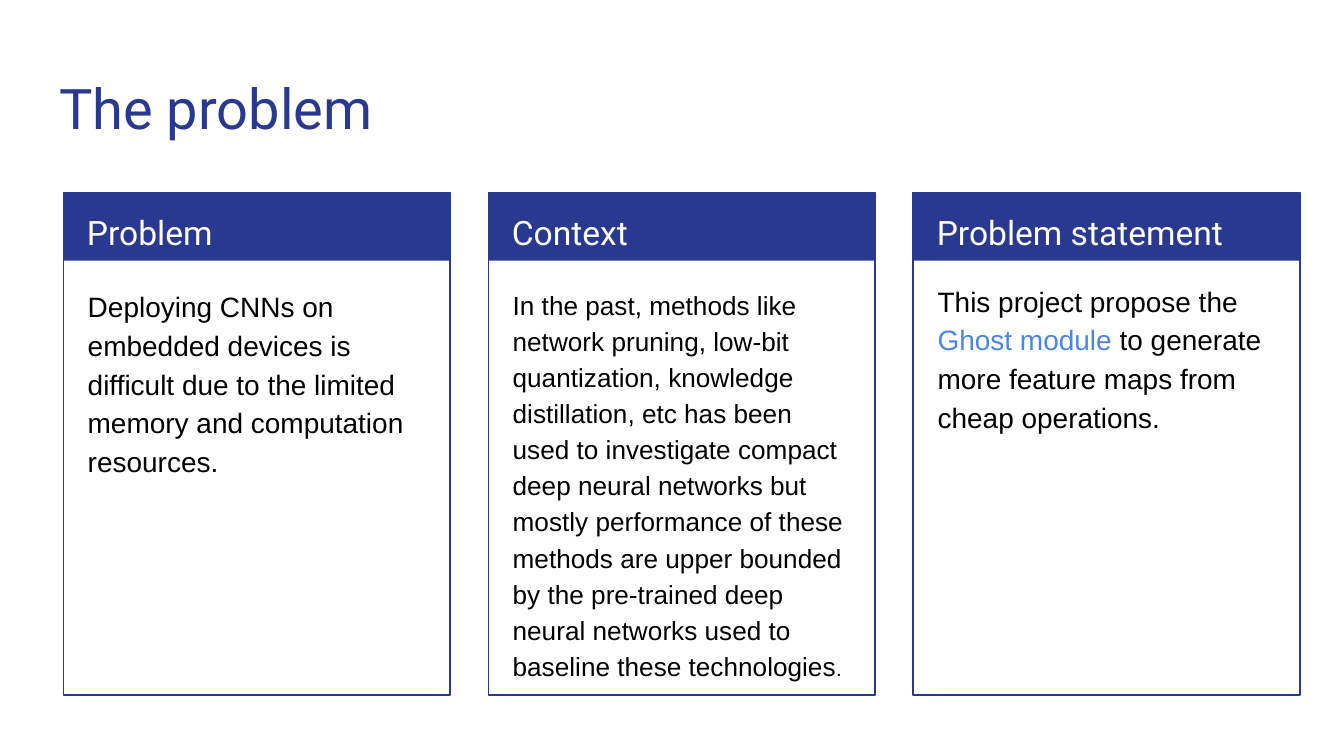
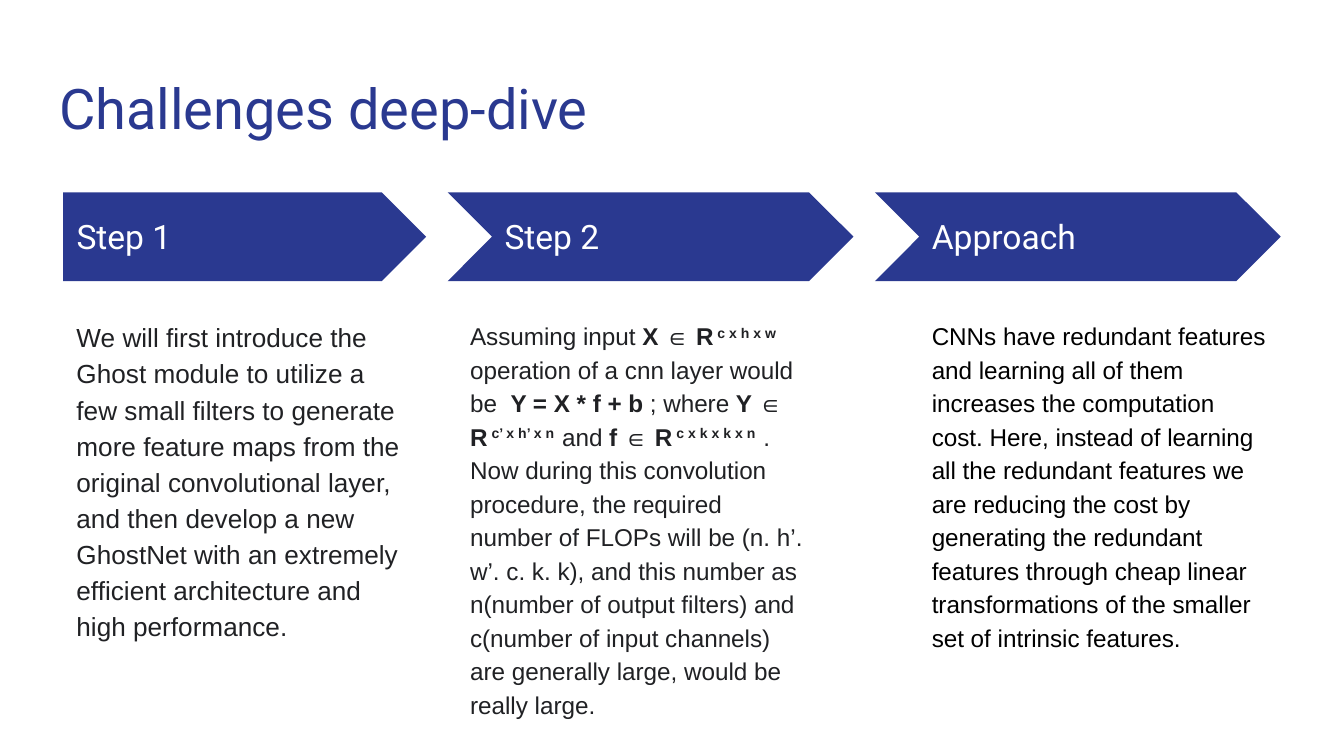
from pptx import Presentation
from pptx.dml.color import RGBColor
from pptx.enum.shapes import MSO_SHAPE
from pptx.enum.text import MSO_ANCHOR, MSO_AUTO_SIZE, PP_ALIGN
from pptx.util import Pt

RECTANGLE = MSO_SHAPE.RECTANGLE
PENTAGON = MSO_SHAPE.PENTAGON
CHEVRON = MSO_SHAPE.CHEVRON
TOP, MIDDLE = MSO_ANCHOR.TOP, MSO_ANCHOR.MIDDLE
LEFT = PP_ALIGN.LEFT
NO_AUTOFIT = MSO_AUTO_SIZE.NONE

NAVY, WHITE, BLACK = "2A3990", "FFFFFF", "000000"
CHARCOAL, SKY = "202124", "4A86E8"
HEADING_FONT, BODY_FONT = "Roboto", "Arial"
INSET = 7.2
MARGIN, BAND_TOP = 33.9, 103
CARD_WIDTH, CARD_HEIGHT, CARD_PITCH, HEADER_HEIGHT = 207.3, 269.3, 227.65, 36.7
ARROW_HEIGHT, ARROW_GAP = 47.6, 11.5
PENTAGON_WIDTH, CHEVRON_WIDTH = 194.4, 217.4

CARDS = [
    ("Problem", 145.5, 15, [
        ("Deploying CNNs on embedded devices is difficult due to the limited "
         "memory and computation resources.", {})]),
    ("Context", 145.5, 14, [
        ("In the past, methods like network pruning, low-bit quantization, "
         "knowledge distillation, etc has been used to investigate compact deep "
         "neural networks but mostly performance of these methods are upper "
         "bounded by the pre-trained deep neural networks used to baseline these "
         "technologies", {}),
        (".", {"size": Pt(11)})]),
    ("Problem statement", 142.4, 15, [
        ("This project propose the ", {}),
        ("Ghost module", {"color": SKY}),
        (" to generate more feature maps from cheap operations.", {})]),
]

BOLD = {"bold": True}
EXPONENT = {"bold": True, "baseline": 30000}
STEPS = [
    ("Step 1", PENTAGON, PENTAGON_WIDTH, 0, 0, 14, CHARCOAL, [
        ("We will first introduce the Ghost module to utilize a few small filters "
         "to generate more feature maps from the original convolutional layer, and "
         "then develop a new GhostNet with an extremely efficient architecture and "
         "high performance.", {})]),
    ("Step 2", CHEVRON, CHEVRON_WIDTH, 23.4, 5, 13, CHARCOAL, [
        ("Assuming input ", {}),
        ("X ∈ R", BOLD),
        (" c x h x w", EXPONENT),
        (" operation of a cnn layer would be  ", {}),
        ("Y = X * f + b", BOLD),
        (" ; where ", {}),
        ("Y ∈ R", BOLD),
        (" c’ x h’ x n  ", EXPONENT),
        ("and ", {}),
        ("f ∈ R", BOLD),
        (" c x k x k x n  ", EXPONENT),
        (". Now during this convolution procedure, the required number of FLOPs "
         "will be (n. h’. w’. c. k. k), and this number as n(number of output "
         "filters) and c(number of input channels) are generally large, would be "
         "really large.", {})]),
    ("Approach", CHEVRON, CHEVRON_WIDTH, 23.4, 23.4, 13, BLACK, [
        ("CNNs have redundant features and learning all of them increases the "
         "computation cost. Here, instead of learning all the redundant features "
         "we are reducing the cost by generating the redundant features through "
         "cheap linear transformations of the smaller set of intrinsic features.",
         {})]),
]


def rgb(value):
    """Turn a hex string into a colour."""
    return RGBColor.from_string(value)


def format_run(run, formats):
    """Apply a dict of format values to a run."""
    for name, value in formats.items():
        if name == "color":
            run.font.color.rgb = rgb(value)
        elif name == "baseline":
            run.font._element.set("baseline", str(value))
        else:
            setattr(run.font, name, value)


def write(frame, runs, base, anchor=TOP, spacing=1.0, space_after=0):
    """Fill a text frame with one paragraph of formatted runs."""
    settings = {"word_wrap": True, "auto_size": NO_AUTOFIT, "vertical_anchor": anchor}
    for side in ("left", "top", "right", "bottom"):
        settings["margin_" + side] = Pt(INSET)
    for name, value in settings.items():
        setattr(frame, name, value)
    paragraph = frame.paragraphs[0]
    paragraph.alignment = LEFT
    paragraph.line_spacing = spacing
    paragraph.space_before = Pt(0)
    paragraph.space_after = Pt(space_after)
    for text, formats in runs:
        run = paragraph.add_run()
        run.text = text
        format_run(run, {**base, **formats})


def style(font, size, color):
    """Bundle the basic format values of a text."""
    return {"name": font, "size": Pt(size), "color": color}


def add_text(slide, box, runs, base, **layout):
    """Place a text box and fill it."""
    text_box = slide.shapes.add_textbox(*map(Pt, box))
    write(text_box.text_frame, runs, base, **layout)


def add_block(slide, kind, box, fill=None, line=None):
    """Place a preset shape with a plain fill or outline."""
    block = slide.shapes.add_shape(kind, *map(Pt, box))
    block.shadow.inherit = False
    if fill:
        block.fill.solid()
        block.fill.fore_color.rgb = rgb(fill)
    else:
        block.fill.background()
    if line:
        block.line.color.rgb = rgb(line)
        block.line.width = Pt(0.75)
    else:
        block.line.fill.background()


def add_titled_slide(deck, heading):
    """Add a title-only slide with the shared title style."""
    slide = deck.slides.add_slide(deck.slide_layouts[5])
    title = slide.shapes.title
    title.left, title.top, title.width, title.height = map(Pt, (24.5, 32.4, 671, 47.5))
    write(title.text_frame, [(heading, {})], style(HEADING_FONT, 30, NAVY))
    return slide


def add_card(slide, left, heading, body_top, size, runs):
    """Draw an outlined card with a filled header."""
    add_block(slide, RECTANGLE, (left, BAND_TOP, CARD_WIDTH, HEADER_HEIGHT), fill=NAVY)
    add_block(slide, RECTANGLE, (left, BAND_TOP, CARD_WIDTH, CARD_HEIGHT), line=NAVY)
    add_text(slide, (left + 5.6, BAND_TOP, 196.5, 36), [(heading, {})],
             style(HEADING_FONT, 18, WHITE), spacing=1.15)
    add_text(slide, (left + 6, body_top, 195, 220.3), runs,
             style(BODY_FONT, size, BLACK), spacing=1.15, space_after=12)


def add_step(slide, left, heading, kind, width, label_shift, body_shift, size, color, runs):
    """Draw an arrow with its label and the text below it."""
    add_block(slide, kind, (left, BAND_TOP, width, ARROW_HEIGHT), fill=NAVY)
    add_text(slide, (left + label_shift, 114.5, 178, 24.5), [(heading, {})],
             style(HEADING_FONT, 18, WHITE), anchor=MIDDLE)
    add_text(slide, (left + body_shift, 162.7, 194.4, 209), runs,
             style(BODY_FONT, size, color), spacing=1.15)


def main():
    """Build both slides and save the deck."""
    deck = Presentation()
    deck.slide_width, deck.slide_height = Pt(720), Pt(405)

    problem = add_titled_slide(deck, "The problem")
    for column, card in enumerate(CARDS):
        add_card(problem, MARGIN + column * CARD_PITCH, *card)

    challenges = add_titled_slide(deck, "Challenges deep-dive")
    left = MARGIN
    for step in STEPS:
        add_step(challenges, left, *step)
        left += step[2] + ARROW_GAP

    deck.save("out.pptx")


if __name__ == "__main__":
    main()
